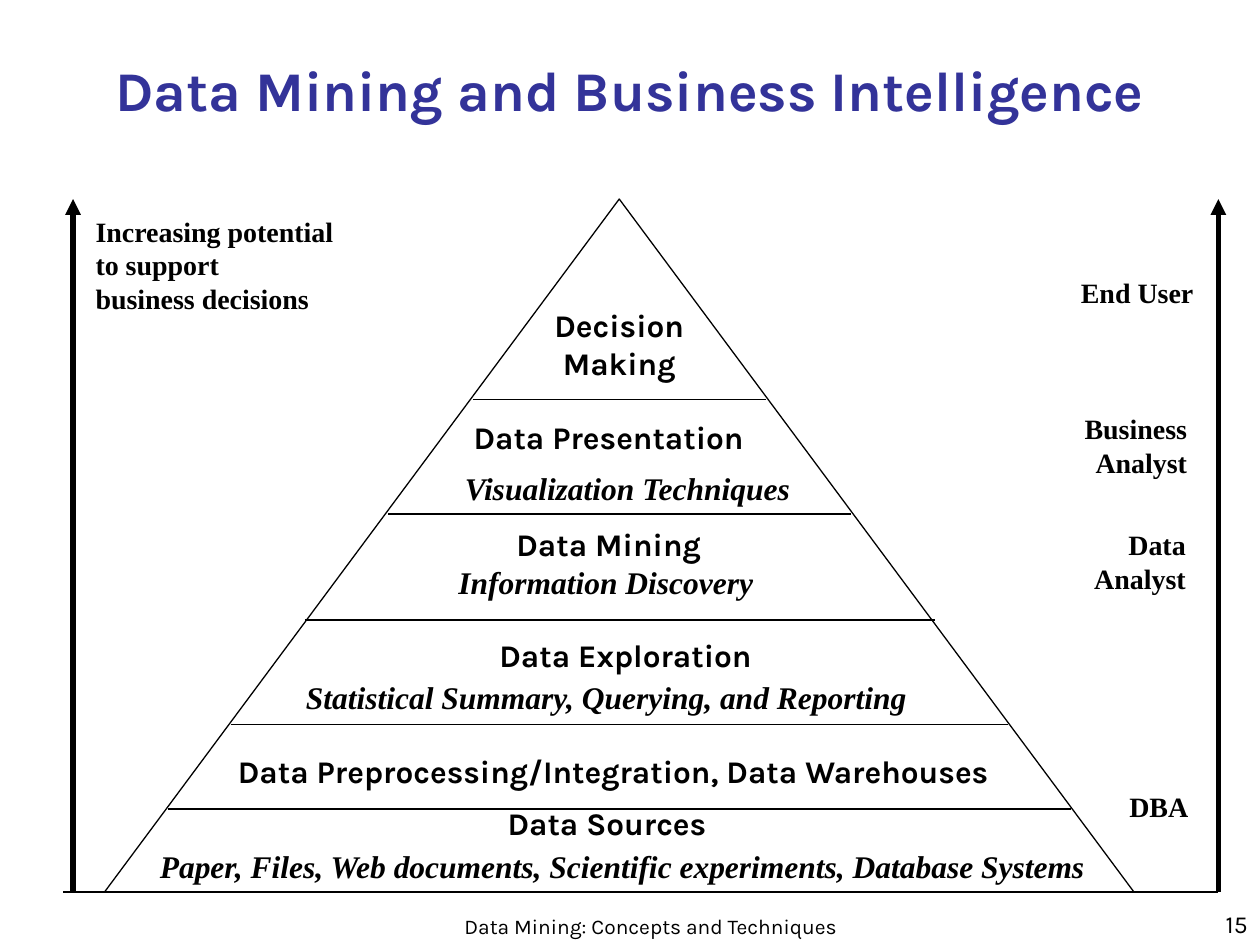
from lxml.etree import SubElement
from pptx import Presentation
from pptx.dml.color import RGBColor
from pptx.enum.shapes import MSO_CONNECTOR, MSO_SHAPE
from pptx.enum.text import MSO_ANCHOR, PP_ALIGN
from pptx.oxml.ns import qn
from pptx.util import Inches, Pt

BLACK = "000000"
LEFT, CENTER, RIGHT = PP_ALIGN.LEFT, PP_ALIGN.CENTER, PP_ALIGN.RIGHT
TOP, MIDDLE, BOTTOM = MSO_ANCHOR.TOP, MSO_ANCHOR.MIDDLE, MSO_ANCHOR.BOTTOM

FORMATS = {
    "title": {"name": "Karla", "size": Pt(32), "bold": True},
    "footer": {"name": "Karla", "size": Pt(12)},
    "number": {"name": "Karla", "size": Pt(14)},
    "role": {"name": "Times New Roman", "size": Pt(16), "bold": True},
    "layer": {"name": "Karla", "size": Pt(18), "bold": True},
    "detail": {"name": "Times New Roman", "size": Pt(18), "bold": True, "italic": True},
}

PAGE_TEXTS = [
    ("Data Mining and Business Intelligence", "title", (0.25, 0.42, 9.5, 0.58), CENTER, MIDDLE, "333399"),
    ("Data Mining: Concepts and Techniques", "footer", (3.58, 7.08, 3.17, 0.42), CENTER, BOTTOM, BLACK),
    ("15", "number", (7.92, 7, 2.08, 0.5), RIGHT, BOTTOM, BLACK),
]

ROLES = [
    (["Increasing potential", "to support", "business decisions"], (0.66, 1.65, 2.09, 0.9), LEFT),
    (["End User"], (8.48, 2.14, 1.09, 0.37), RIGHT),
    (["Business", "Analyst"], (8.48, 3.22, 1.04, 0.64), RIGHT),
    (["Data", "Analyst"], (8.58, 4.14, 0.93, 0.64), RIGHT),
    (["DBA"], (8.86, 6.22, 0.67, 0.37), RIGHT),
]

LAYERS = [
    ("Decision Making", "layer", (4.25, 2.38, 1.33, 0.7), CENTER, True),
    ("Data Presentation", "layer", (3.66, 3.27, 2.48, 0.4), LEFT, False),
    ("Visualization Techniques", "detail", (3.59, 3.67, 2.82, 0.4), LEFT, False),
    ("Data Mining", "layer", (4, 4.12, 1.95, 0.4), LEFT, True),
    ("Information Discovery", "detail", (3.54, 4.42, 2.54, 0.4), LEFT, False),
    ("Data Exploration", "layer", (3.68, 5, 2.57, 0.4), CENTER, True),
    ("Statistical Summary, Querying, and Reporting", "detail", (2.33, 5.33, 5, 0.4), LEFT, True),
    ("Data Preprocessing/Integration, Data Warehouses", "layer", (1.79, 5.92, 6.5, 0.4), LEFT, False),
    ("Data Sources", "layer", (3.93, 6.33, 1.83, 0.4), LEFT, False),
    ("Paper, Files, Web documents, Scientific experiments, Database Systems", "detail",
     (1.17, 6.67, 7.79, 0.4), LEFT, True),
]

PYRAMID = (0.83, 1.58, 8.17, 5.5)
APEX, BASE = 1.58, 7.08
LEVELS = [(1.33, 8.5, 6.42), (1.83, 8, 5.75), (2.42, 7.42, 4.92), (3.08, 6.75, 4.08), (3.75, 6.08, 3.17)]
ARROWS = [0.58, 9.67]
BASELINE = (0.5, 9.67, BASE)


def color(value):
    return RGBColor.from_string(value)


def add_text(page, lines, style, place, align, anchor=TOP, wrap=True, ink=BLACK):
    box = page.shapes.add_textbox(*map(Inches, place))
    frame = box.text_frame
    frame.word_wrap = wrap
    frame.vertical_anchor = anchor
    for index, line in enumerate(lines):
        para = frame.paragraphs[0] if index == 0 else frame.add_paragraph()
        para.alignment = align
        span = para.add_run()
        span.text = line
        span.font.color.rgb = color(ink)
        for name, value in FORMATS[style].items():
            setattr(span.font, name, value)


def add_line(page, start, end, width=0.75, arrow=False):
    line = page.shapes.add_connector(MSO_CONNECTOR.STRAIGHT, *map(Inches, start + end))
    line.line.color.rgb = color(BLACK)
    line.line.width = Pt(width)
    properties = line._element.spPr
    if arrow:
        SubElement(properties.find(qn("a:ln")), qn("a:tailEnd"), type="triangle")
    SubElement(properties, qn("a:effectLst"))


def main():
    deck = Presentation()
    deck.slide_width, deck.slide_height = Inches(10), Inches(7.5)
    page = deck.slides.add_slide(deck.slide_layouts[6])

    for text, style, place, align, anchor, ink in PAGE_TEXTS:
        add_text(page, [text], style, place, align, anchor, ink=ink)

    pyramid = page.shapes.add_shape(MSO_SHAPE.FLOWCHART_EXTRACT, *map(Inches, PYRAMID))
    pyramid.shadow.inherit = False
    pyramid.fill.background()
    pyramid.line.color.rgb = color(BLACK)
    pyramid.line.width = Pt(0.75)

    for left, right, height in LEVELS + [BASELINE]:
        add_line(page, (left, height), (right, height))
    for x in ARROWS:
        add_line(page, (x, BASE), (x, APEX), width=3, arrow=True)

    for lines, place, align in ROLES:
        add_text(page, lines, "role", place, align, wrap=False)
    for text, style, place, align, wrap in LAYERS:
        add_text(page, [text], style, place, align, wrap=wrap)

    deck.save("out.pptx")


if __name__ == "__main__":
    main()
